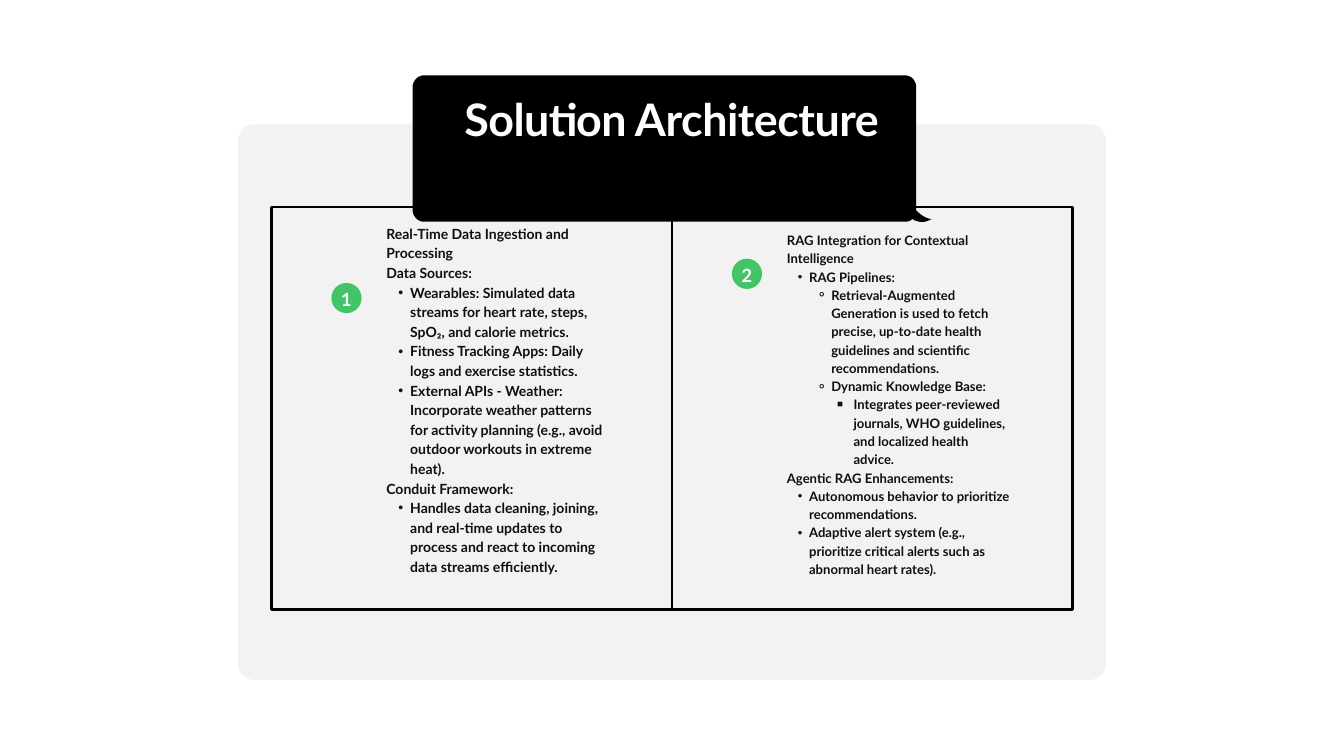
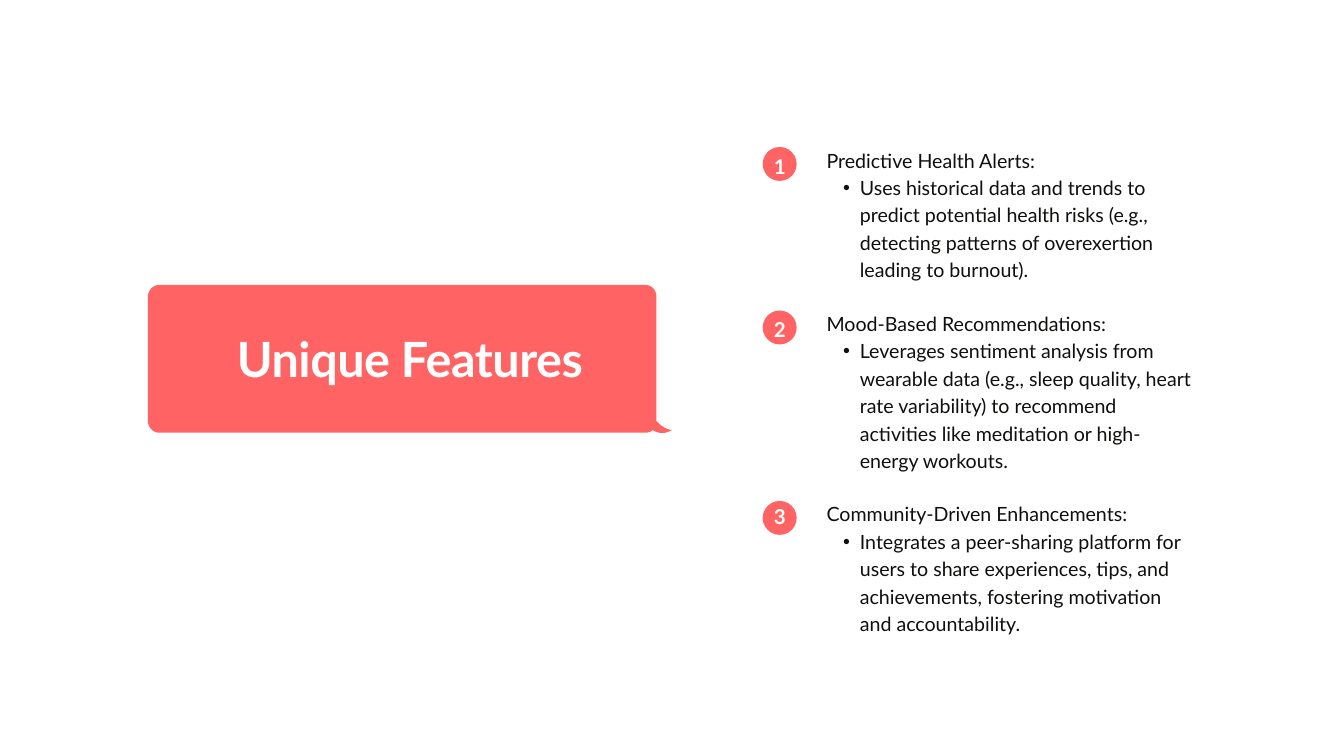
from lxml import etree
from pptx import Presentation
from pptx.dml.color import RGBColor
from pptx.enum.shapes import MSO_SHAPE
from pptx.enum.text import MSO_AUTO_SIZE, PP_ALIGN
from pptx.oxml.ns import qn
from pptx.util import Pt

FONT = "Lato"
BLACK, INK, WHITE = "000000", "100F0D", "FFFFFF"
GREEN, CORAL = "43C466", "FF6363"
LINE_SPACING = 1.4  # times the font size
INDENT_STEP = 1.7  # times the font size, for each list level

# Each line of body text is (level, bullet, text).
ARCHITECTURE = [
    {"number": "1", "size": 15, "text_top": 238.3, "text_height": 440.6, "badge_top": 303.1, "lines": [
        (0, "", "Real-Time Data Ingestion and Processing"),
        (0, "", "Data Sources:"),
        (1, "•", "Wearables: Simulated data streams for heart rate, steps, SpO₂, and calorie metrics."),
        (1, "•", "Fitness Tracking Apps: Daily logs and exercise statistics."),
        (1, "•", "External APIs - Weather: Incorporate weather patterns for activity planning "
                 "(e.g., avoid outdoor workouts in extreme heat)."),
        (0, "", "Conduit Framework:"),
        (1, "•", "Handles data cleaning, joining, and real-time updates to process and react "
                 "to incoming data streams efficiently."),
    ]},
    {"number": "2", "size": 14, "text_top": 246.2, "text_height": 406.8, "badge_top": 277.2, "lines": [
        (0, "", "RAG Integration for Contextual Intelligence"),
        (1, "•", "RAG Pipelines:"),
        (2, "⚬", "Retrieval-Augmented Generation is used to fetch precise, up-to-date health "
                 "guidelines and scientific recommendations."),
        (2, "⚬", "Dynamic Knowledge Base:"),
        (3, "￭", "Integrates peer-reviewed journals, WHO guidelines, and localized health advice."),
        (0, "", "Agentic RAG Enhancements:"),
        (1, "•", "Autonomous behavior to prioritize recommendations."),
        (1, "•", "Adaptive alert system (e.g., prioritize critical alerts such as abnormal heart rates)."),
    ]},
]

# Heading, detail, height of the text, drop of the number inside its badge
FEATURES = [
    ("Predictive Health Alerts:",
     "Uses historical data and trends to predict potential health risks (e.g., detecting "
     "patterns of overexertion leading to burnout).", 174.2, 2.6),
    ("Mood-Based Recommendations:",
     "Leverages sentiment analysis from wearable data (e.g., sleep quality, heart rate "
     "variability) to recommend activities like meditation or high-energy workouts.", 203, 2.6),
    ("Community-Driven Enhancements:",
     "Integrates a peer-sharing platform for users to share experiences, tips, and "
     "achievements, fostering motivation and accountability.", 174.2, -0.7),
]

# Speech bubble outline: points are corners, triples are curves (two handles and an end).
BUBBLE_START = (545, 146)
BUBBLE = [
    (545, 13),
    ((545, 5.8), (540, 0), (532.8, 0)),
    (12.2, 0),
    ((5.8, 0), (0, 5.8), (0, 13)),
    (0, 145.4),
    ((0, 152.6), (5.8, 158.4), (12.2, 158.4)),
    (532.8, 158.4),
    ((535.7, 158.4), (538.6, 157.7), (540.7, 155.5)),
    ((544.3, 157.7), (552.2, 161.3), (561.6, 155.5)),
    ((561.6, 155.5), (553.7, 155.5), BUBBLE_START),
]


def color(hex_string):
    return RGBColor.from_string(hex_string)


def curve_points(start, handle1, handle2, end, steps=10):
    for step in range(1, steps + 1):
        t = step / steps
        weights = ((1 - t) ** 3, 3 * t * (1 - t) ** 2, 3 * t * t * (1 - t), t ** 3)
        yield tuple(sum(weight * point[axis] for weight, point in
                        zip(weights, (start, handle1, handle2, end))) for axis in (0, 1))


def fill_shape(shape, fill):
    shape.shadow.inherit = False
    shape.fill.solid()
    shape.fill.fore_color.rgb = color(fill)
    shape.line.fill.background()


def add_box(slide, kind, box, fill=None):
    shape = slide.shapes.add_shape(kind, *map(Pt, box))
    if fill:
        fill_shape(shape, fill)
    else:
        shape.shadow.inherit = False
        shape.fill.background()
    return shape


def set_bullet(paragraph, level, bullet, size):
    """Each level steps in evenly, while its hanging part is 1/(level + 1) of the margin."""
    margin = level * INDENT_STEP * size
    paragraph.level = level
    properties = paragraph._p.get_or_add_pPr()
    properties.set("marL", str(int(Pt(margin))))
    properties.set("indent", str(-int(Pt(margin / (level + 1)))))
    etree.SubElement(properties, qn("a:buFont")).set("typeface", "Arial")
    etree.SubElement(properties, qn("a:buChar")).set("char", bullet)


def add_text(slide, box, lines, size, text_color=INK, bold=False, centred=False, spacing=0):
    text_box = slide.shapes.add_textbox(*map(Pt, box))
    frame = text_box.text_frame
    frame.margin_left = frame.margin_top = frame.margin_right = frame.margin_bottom = 0
    frame.word_wrap = True
    frame.auto_size = MSO_AUTO_SIZE.SHAPE_TO_FIT_TEXT
    frame.text = "\n".join(text for _, _, text in lines)
    for paragraph, (level, bullet, _) in zip(frame.paragraphs, lines):
        paragraph.line_spacing = Pt(size * LINE_SPACING)
        paragraph.alignment = PP_ALIGN.CENTER if centred else PP_ALIGN.LEFT
        if bullet:
            set_bullet(paragraph, level, bullet, size)
        for run in paragraph.runs:
            run.font.name = FONT
            run.font.size = Pt(size)
            run.font.bold = bold
            run.font.color.rgb = color(text_color)
            if spacing:
                run._r.get_or_add_rPr().set("spc", str(int(spacing * 100)))


def add_bubble(slide, left, top, fill, scale=1.0):
    def place(point):
        return Pt(left + point[0] * scale), Pt(top + point[1] * scale)

    vertices = [BUBBLE_START]
    for part in BUBBLE:
        if isinstance(part[0], tuple):
            vertices.extend(curve_points(vertices[-1], *part))
        else:
            vertices.append(part)
    builder = slide.shapes.build_freeform(*place(vertices[0]))
    builder.add_line_segments([place(vertex) for vertex in vertices[1:]], close=True)
    fill_shape(builder.convert_to_shape(), fill)


def add_title(slide, box, title, size):
    add_text(slide, box, [(0, "", title)], size, WHITE, bold=True, centred=True, spacing=-0.5)


def add_badge(slide, left, top, diameter, number, size, fill, drop):
    add_box(slide, MSO_SHAPE.OVAL, (left, top, diameter, diameter), fill)
    width = diameter * 0.65
    number_box = (left + (diameter - width) / 2, top + drop, width, size * LINE_SPACING)
    add_text(slide, number_box, [(0, "", number)], size, WHITE, bold=True, centred=True)


def build_architecture(slide):
    panel = add_box(slide, MSO_SHAPE.ROUNDED_RECTANGLE, (254.9, 133.2, 930.2, 595.4), INK)
    panel.adjustments[0] = 0.03
    solid_color = panel.fill._xPr.find(qn("a:solidFill"))[0]
    etree.SubElement(solid_color, qn("a:alpha")).set("val", "5000")
    add_bubble(slide, 442.1, 80.8, BLACK, scale=0.99)
    add_title(slide, (489.6, 88.6, 460.1, 131), "Solution Architecture", 48)

    frame_width = 429.1
    for index, column in enumerate(ARCHITECTURE):
        left = 720 + (index - 1) * frame_width
        frame = add_box(slide, MSO_SHAPE.RECTANGLE, (left, 221.8, frame_width, 431))
        frame.line.color.rgb = color(BLACK)
        frame.line.width = Pt(3)
        add_badge(slide, left + 64.1, column["badge_top"], 32.4, column["number"], 19.5, GREEN, 2.2)
        add_text(slide, (left + 123.1, column["text_top"], 239.8, column["text_height"]),
                 column["lines"], column["size"], bold=True)


def build_features(slide):
    add_bubble(slide, 158.4, 305.3, CORAL)
    add_title(slide, (216.7, 342, 445, 67.7), "Unique Features", 52)
    top = 154.8
    for number, (heading, detail, height, drop) in enumerate(FEATURES, start=1):
        add_text(slide, (885.6, top, 394.6, height), [(0, "", heading), (1, "•", detail)], 21)
        add_badge(slide, 817.2, top + 2.7, 36.4, str(number), 22, CORAL, drop)
        top += height + 1


def main():
    presentation = Presentation()
    presentation.slide_width, presentation.slide_height = Pt(1440), Pt(810)
    blank = presentation.slide_layouts[6]
    for build in (build_architecture, build_features):
        build(presentation.slides.add_slide(blank))
    presentation.save("out.pptx")


if __name__ == "__main__":
    main()
